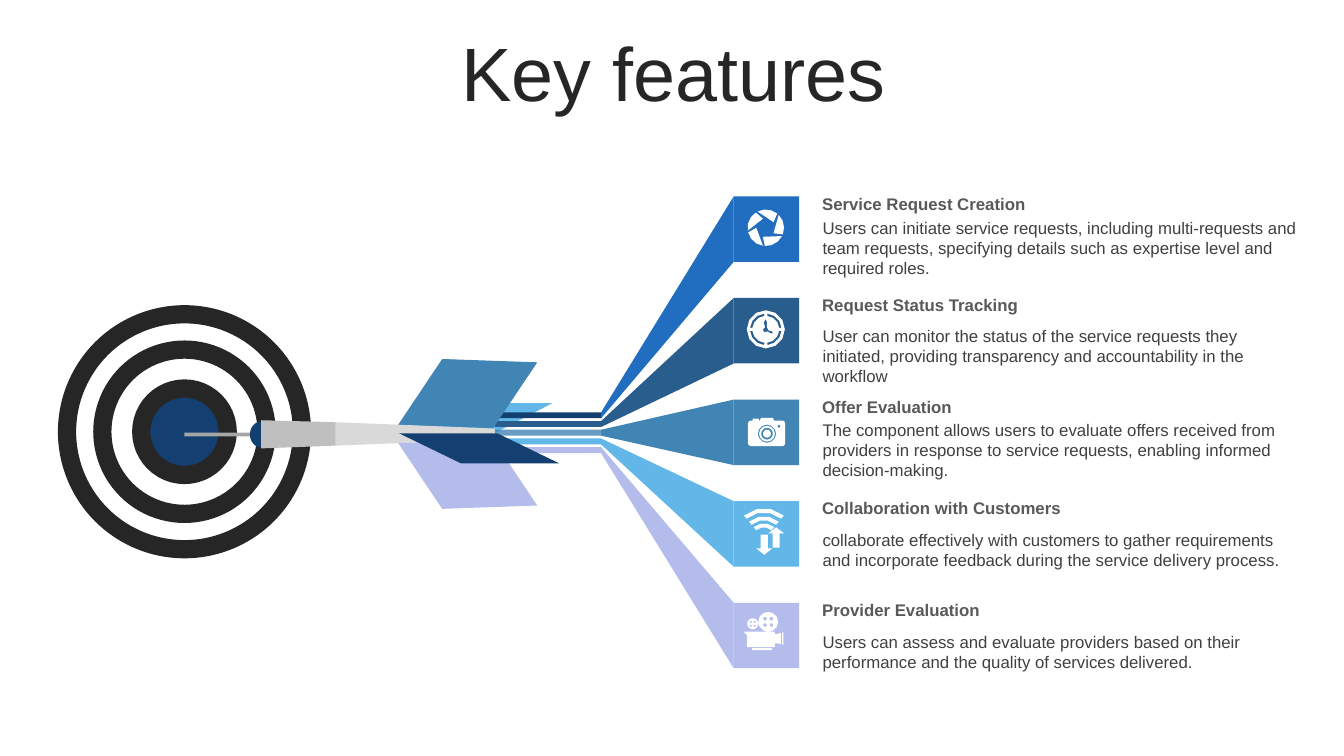
from math import ceil, cos, radians, sin

from lxml import etree
from pptx import Presentation
from pptx import util as u
from pptx.dml.color import RGBColor
from pptx.enum import shapes, text
from pptx.oxml.ns import qn

COLORS = {
    "white": "FFFFFF", "ink": "262626", "heading": "595959", "body": "404040",
    "navy": "134070", "royal": "216EC1", "denim": "285D8D", "steel": "4185B5",
    "sky": "62B7E8", "lilac": "B4BCEC",
    "needle": "A6A6A6", "grip": "BFBFBF", "shaft": "D9D9D9",
}
KIND = shapes.MSO_SHAPE


# Outlines: lists of (x, y) points in cm
def arc(x, y, radius, start, end, stride=30):
    steps = ceil(abs(end - start) / stride)
    angles = [radians(start + (end - start) * step / steps) for step in range(steps + 1)]
    return [(x + radius * cos(angle), y + radius * sin(angle)) for angle in angles]


def circle(x, y, radius, stride=30):
    return arc(x, y, radius, 0, 360 - stride, stride)


def band(x, y, outer, inner, start, end):
    return arc(x, y, outer, start, end) + arc(x, y, inner, end, start)


def block(left, top, right, bottom):
    return [(left, top), (right, top), (right, bottom), (left, bottom)]


def block_arrow(x, tail, neck, tip):
    return [(x - 0.09, tail), (x + 0.09, tail), (x + 0.09, neck), (x + 0.2, neck),
            (x, tip), (x - 0.2, neck), (x - 0.09, neck)]


# Icons: outlines measured from the corner of their tile
def aperture_icon():
    blades = []
    for turn in range(0, 360, 72):
        corner = radians(turn + 108)
        blades.append(arc(0.81, 0.79, 0.46, turn + 27, turn + 93)
                      + [(0.81 + 0.24 * cos(corner), 0.79 + 0.24 * sin(corner))])
    return blades


def clock_icon():
    hands = [(0.81, 0.53), (0.76, 0.61), (0.79, 0.74), (0.74, 0.79), (0.76, 0.85),
             (0.81, 0.86), (0.84, 0.84), (0.94, 0.89), (0.99, 0.89), (0.97, 0.84),
             (0.86, 0.81), (0.86, 0.78), (0.84, 0.74), (0.84, 0.61)]
    gaps = [band(0.81, 0.79, 0.4, 0.34, turn + 6, turn + 84) for turn in range(0, 360, 90)]
    return [circle(0.81, 0.79, 0.48), *gaps, hands]


def camera_icon():
    body = [(0.36, 0.61), (0.38, 0.55), (0.43, 0.53), (0.48, 0.53), (0.48, 0.48),
            (0.63, 0.48), (0.64, 0.53), (0.66, 0.53), (0.69, 0.46), (0.99, 0.46),
            (1.02, 0.53), (1.24, 0.53), (1.28, 0.55), (1.3, 0.61), (1.3, 1.1),
            (1.28, 1.15), (1.24, 1.17), (0.43, 1.17), (0.38, 1.15), (0.36, 1.1)]
    lens = [circle(0.84, 0.86, radius) for radius in (0.23, 0.2, 0.15, 0.1)]
    return [body, *lens, circle(1.14, 0.67, 0.04, 60)]


def signal_icon():
    waves = [band(0.76, 0.96, radius, radius - 0.1, 230, 310) for radius in (0.78, 0.58, 0.4)]
    return [*waves, block_arrow(0.77, 0.84, 1.19, 1.35), block_arrow(1.07, 1.17, 0.81, 0.66)]


def projector_icon():
    body = [(0.25, 0.73), (1.04, 0.73), (1.04, 0.79), (1.09, 0.79), (1.19, 0.76),
            (1.19, 1.04), (1.09, 1.02), (1.04, 1.02), (1.04, 1.12), (0.33, 1.12), (0.33, 0.81)]
    lens = [(1.22, 0.76), (1.25, 0.74), (1.25, 1.07), (1.22, 1.04)]
    outlines = [body, lens, block(0.46, 1.14, 0.97, 1.19)]
    for x, y, reel, offset, hole in ((0.87, 0.48, 0.25, 0.08, 0.05), (0.48, 0.53, 0.14, 0.05, 0.03)):
        outlines.append(circle(x, y, reel))
        outlines += [circle(x + dx, y + dy, hole, 60)
                     for dx in (-offset, offset) for dy in (-offset, offset)]
    return outlines


class Sheet:
    font = "Arial"

    def __init__(self, page):
        self.page = page

    def color(self, name):
        return RGBColor.from_string(COLORS[name])

    def paint(self, shape, fill, line=None, weight=0):
        shape.shadow.inherit = False
        shape.fill.solid()
        shape.fill.fore_color.rgb = self.color(fill)
        if line:
            shape.line.color.rgb = self.color(line)
            shape.line.width = u.Pt(weight)
        else:
            shape.line.fill.background()
        return shape

    def shape(self, kind, left, top, width, height, fill, line=None, weight=0,
              adjust=(), flip=False, turn=0):
        shape = self.page.shapes.add_shape(kind, u.Cm(left), u.Cm(top), u.Cm(width), u.Cm(height))
        for index, value in enumerate(adjust):
            shape.adjustments[index] = value
        shape.rotation = turn
        if flip:
            shape.element.spPr.find(qn("a:xfrm")).set("flipH", "1")
        return self.paint(shape, fill, line, weight)

    def fade(self, shape, percent):
        color = shape.element.spPr.find(qn("a:solidFill"))[0]
        etree.SubElement(color, qn("a:alpha")).set("val", str(percent * 1000))

    def outline(self, outlines, fill, left=0, top=0):
        placed = [[(u.Cm(left + x), u.Cm(top + y)) for x, y in points] for points in outlines]
        builder = self.page.shapes.build_freeform(*placed[0][0], scale=1.0)
        for number, points in enumerate(placed):
            if number:
                builder.move_to(*points[0])
            builder.add_line_segments(points[1:], close=True)
        return self.paint(builder.convert_to_shape(), fill)

    def text(self, words, left, top, width, height, size, color, bold=False, heading=False):
        box = self.page.shapes.add_textbox(u.Cm(left), u.Cm(top), u.Cm(width), u.Cm(height))
        frame = box.text_frame
        frame.word_wrap = True
        para = frame.paragraphs[0]
        if heading:
            frame.vertical_anchor = text.MSO_ANCHOR.MIDDLE
            para.alignment = text.PP_ALIGN.CENTER
            para.line_spacing = 0.9
        span = para.add_run()
        span.text = words
        span.font.name, span.font.size, span.font.bold = self.font, u.Pt(size), bold
        span.font.color.rgb = self.color(color)


# Title, tile and stripe colours, icon, body top, body width, body
FEATURES = [
    ("Service Request Creation", "royal", "navy", aperture_icon, 5.36, 12.88,
     "Users can initiate service requests, including multi-requests and team requests, "
     "specifying details such as expertise level and required roles."),
    ("Request Status Tracking", "denim", "denim", clock_icon, 8.08, 12.55,
     "User can monitor the status of the service requests they initiated, "
     "providing transparency and accountability in the workflow"),
    ("Offer Evaluation", "steel", "steel", camera_icon, 10.44, 12.42,
     "The component allows users to evaluate offers received from providers "
     "in response to service requests, enabling informed decision-making."),
    ("Collaboration with Customers", "sky", "sky", signal_icon, 13.23, 12.52,
     "collaborate effectively with customers to gather requirements "
     "and incorporate feedback during the service delivery process."),
    ("Provider Evaluation", "lilac", "lilac", projector_icon, 15.8, 11.28,
     "Users can assess and evaluate providers based on their performance "
     "and the quality of services delivered."),
]
TILE_LEFT, TILE_TOP, TILE_STEP, TILE_SIZE = 18.49, 4.95, 2.56, 1.65
STRIPE_LEFT, STRIPE_RIGHT, STRIPE_TOP, STRIPE_STEP, STRIPE_HEIGHT = 12.47, 15.15, 10.39, 0.22, 0.15


def main():
    deck = Presentation()
    deck.slide_width, deck.slide_height = u.Cm(33.87), u.Cm(19.05)
    sheet = Sheet(deck.slides.add_slide(deck.slide_layouts[6]))
    sheet.text("Key features", 0.89, 0.94, 32.16, 2.01, 54, "ink", heading=True)

    # Target
    for size, fill in ((5.92, "white"), (4.14, "white"), (2.18, "navy")):
        sheet.shape(KIND.OVAL, 4.65 - size / 2, 10.88 - size / 2, size, size, fill, "ink", 13)

    # Rear fin, behind the stripes
    sheet.shape(KIND.PARALLELOGRAM, 10.03, 10.16, 3.89, 0.76, "sky", adjust=[1.92])

    # Features: stripe, ribbon, tile, icon and text
    for row, (title, fill, stripe_fill, icon, body_top, body_width, body) in enumerate(FEATURES):
        top = TILE_TOP + row * TILE_STEP
        start = STRIPE_TOP + row * STRIPE_STEP
        stripe = sheet.shape(KIND.RECTANGLE, STRIPE_LEFT, start, STRIPE_RIGHT - STRIPE_LEFT,
                             STRIPE_HEIGHT, stripe_fill)
        if fill == "steel":
            sheet.fade(stripe, 80)
        sheet.outline([[(STRIPE_RIGHT, start), (TILE_LEFT, top), (TILE_LEFT, top + TILE_SIZE),
                        (STRIPE_RIGHT, start + STRIPE_HEIGHT)]], fill)
        sheet.shape(KIND.RECTANGLE, TILE_LEFT, top, TILE_SIZE, TILE_SIZE, fill)
        sheet.outline(icon(), "white", TILE_LEFT, top)
        sheet.text(title, 20.47, top - 0.2, 12.4, 0.76, 12, "heading", bold=True)
        sheet.text(body, 20.48, body_top, body_width, 1.8, 12, "body")

    # Dart
    sheet.shape(KIND.RECTANGLE, 4.65, 10.9, 2.03, 0.1, "needle")
    sheet.shape(KIND.PARALLELOGRAM, 10.06, 11.1, 3.45, 1.7, "lilac", adjust=[0.62], flip=True, turn=-2)
    sheet.shape(KIND.PARALLELOGRAM, 10.06, 9.07, 3.45, 1.7, "steel", adjust=[0.62], turn=2)
    sheet.outline([[(8.46, 10.64), (12.47, 10.8), (12.47, 11.07), (8.46, 11.23)]], "shaft")
    sheet.shape(KIND.CHORD, 6.3, 10.62, 0.58, 0.66, "navy", adjust=[53.91, 162])
    sheet.outline([[(6.58, 10.59), (8.46, 10.64), (8.46, 11.23), (6.58, 11.3)]], "grip")
    sheet.shape(KIND.PARALLELOGRAM, 10.06, 10.92, 4.04, 0.76, "navy", adjust=[2.06], flip=True)

    deck.save("out.pptx")


if __name__ == "__main__":
    main()
